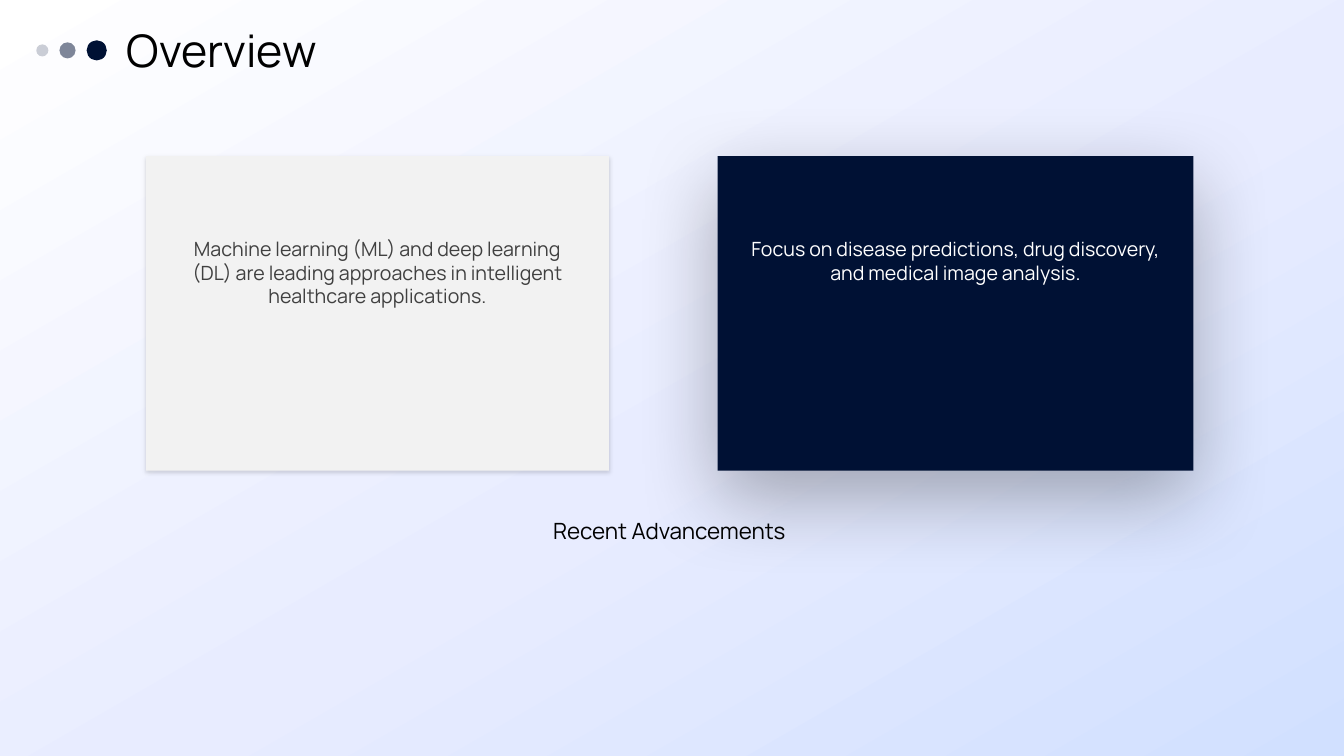
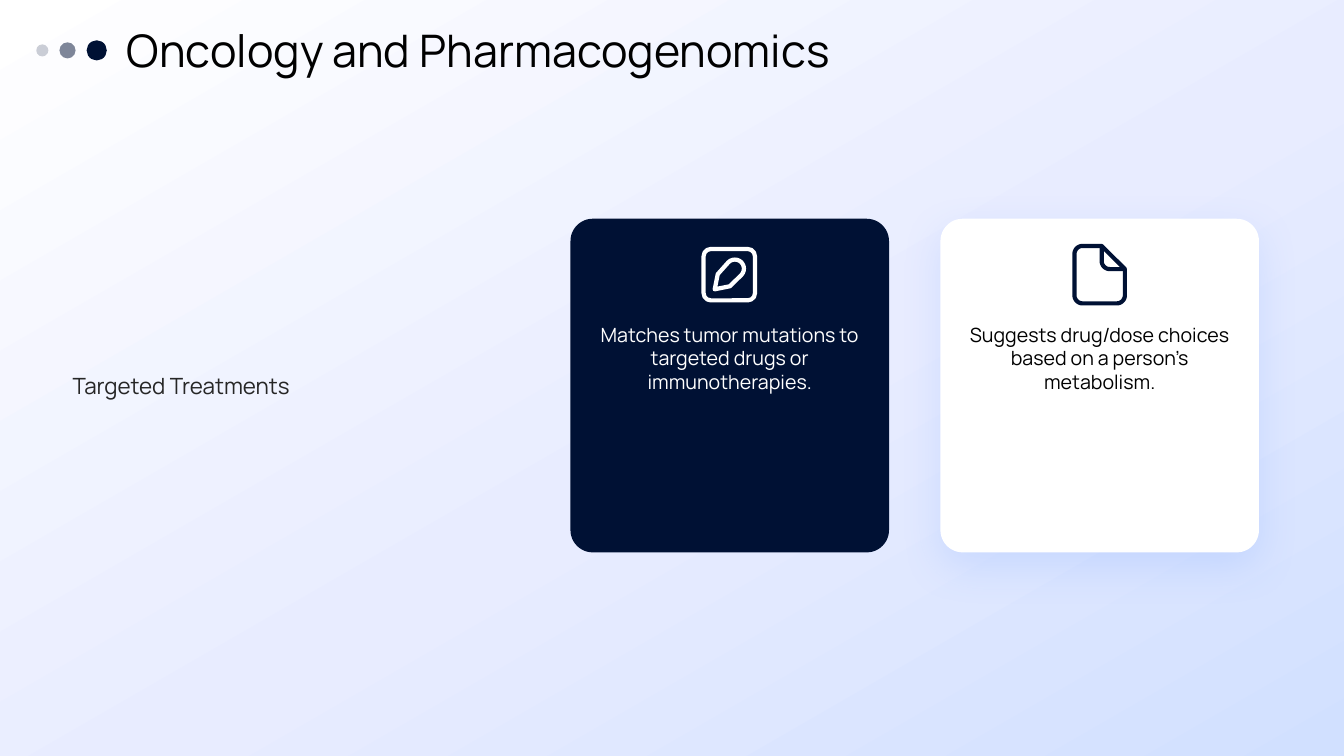
import copy
import math

import pptx
import pptx.dml.color
import pptx.enum.shapes
import pptx.enum.text
import pptx.oxml.ns
import pptx.util
from lxml import etree

RGB = pptx.dml.color.RGBColor
NAVY = RGB(0x00, 0x11, 0x34)
WHITE = RGB(0xFF, 0xFF, 0xFF)
BLACK = RGB(0x00, 0x00, 0x00)
LILAC = RGB(0xE8, 0xEC, 0xFF)
SKY = RGB(0xD1, 0xE0, 0xFF)
PALE = RGB(0xF2, 0xF2, 0xF2)
GREY = RGB(0x40, 0x40, 0x40)
INK = RGB(0x26, 0x26, 0x26)
GLOW = RGB(0x48, 0x84, 0xFF)

SHAPE = pptx.enum.shapes.MSO_SHAPE
ALIGN = pptx.enum.text.PP_ALIGN
ANCHOR = pptx.enum.text.MSO_ANCHOR
FONT = "Manrope"
COLUMNS, ROWS = 133.33, 75
STROKE = 3


def cells(count):
    """Turn a count of 0.1 inch grid cells into a length."""
    return pptx.util.Inches(count / 10)


def add_node(parent, tag, **values):
    """Append a drawing element with the given attributes."""
    node = etree.SubElement(parent, pptx.oxml.ns.qn(tag))
    for name, value in values.items():
        node.set(name, str(value))
    return node


def find_node(parent, tag):
    """Find the first drawing element of a kind below a parent."""
    return parent.find(".//" + pptx.oxml.ns.qn(tag))


def arc(x, y, radius, start, end, steps=12):
    """List points along an arc, with angles in degrees."""
    angles = [math.radians(start + (end - start) * i / steps) for i in range(steps + 1)]
    return [(x + radius * math.cos(a), y + radius * math.sin(a)) for a in angles]


class Slides:
    """Hold the shared style and the current slide."""

    def __init__(self):
        """Start the deck and paint its shared background."""
        self.deck = pptx.Presentation()
        self.deck.slide_width = cells(COLUMNS)
        self.deck.slide_height = cells(ROWS)
        master = self.deck.slide_master
        fill = master.background.fill
        fill.gradient()
        fill.gradient_angle = 300
        stops = find_node(master.element, "a:gsLst")
        stops.insert(1, copy.deepcopy(stops[0]))
        for stop, color, place in zip(fill.gradient_stops, (WHITE, LILAC, SKY), (0, 0.55, 1)):
            stop.color.rgb = color
            stop.position = place

    def start(self, title):
        """Add a slide with its title and the three dots."""
        self.page = self.deck.slides.add_slide(self.deck.slide_layouts[5])
        box = self.page.shapes.title
        box.left, box.top, box.width, box.height = map(cells, (12.6, 2.6, 118.9, 4.7))
        self.put_words(box, title, 32, BLACK, align=ALIGN.LEFT, anchor=ANCHOR.MIDDLE)
        for left, size, alpha in ((3.6, 1.2, 20), (5.9, 1.6, 50), (8.6, 2, 100)):
            dot = self.shape((left, 5 - size / 2, size, size), NAVY, SHAPE.OVAL)
            if alpha < 100:
                add_node(find_node(dot.element.spPr, "a:srgbClr"), "a:alpha", val=alpha * 1000)

    def put_words(self, box, words, size, color, align=ALIGN.CENTER, anchor=ANCHOR.TOP, insets=(0, 0, 0, 0)):
        """Fill a box with one formatted paragraph."""
        frame = box.text_frame
        left, top, right, bottom = map(cells, insets)
        layout = {
            "word_wrap": True,
            "auto_size": pptx.enum.text.MSO_AUTO_SIZE.NONE,
            "vertical_anchor": anchor,
            "margin_left": left,
            "margin_top": top,
            "margin_right": right,
            "margin_bottom": bottom,
        }
        for name, value in layout.items():
            setattr(frame, name, value)
        para = frame.paragraphs[0]
        para.alignment = align
        span = para.add_run()
        span.text = words
        for name, value in {"name": FONT, "size": pptx.util.Pt(size)}.items():
            setattr(span.font, name, value)
        span.font.color.rgb = color

    def text(self, area, words, size, color, **options):
        """Add a text box."""
        self.put_words(self.page.shapes.add_textbox(*map(cells, area)), words, size, color, **options)

    def shape(self, area, color, kind=SHAPE.RECTANGLE, corner=None, shadow=None):
        """Add a filled preset shape, with a shadow of colour, alpha, blur and distance."""
        shape = self.page.shapes.add_shape(kind, *map(cells, area))
        shape.shadow.inherit = False
        shape.fill.solid()
        shape.fill.fore_color.rgb = color
        shape.line.fill.background()
        if corner is not None:
            shape.adjustments[0] = corner
        if shadow:
            tint, alpha, blur, distance = shadow
            outer = add_node(
                find_node(shape.element.spPr, "a:effectLst"), "a:outerShdw",
                blurRad=pptx.util.Pt(blur), dist=pptx.util.Pt(distance),
                dir=90 * 60000, algn="t", rotWithShape=0,
            )
            add_node(add_node(outer, "a:srgbClr", val=tint), "a:alpha", val=alpha * 1000)
        return shape

    def outline(self, shape, color):
        """Leave a shape unfilled, with a rounded stroke."""
        shape.shadow.inherit = False
        shape.fill.background()
        shape.line.color.rgb = color
        shape.line.width = pptx.util.Pt(STROKE)
        add_node(find_node(shape.element.spPr, "a:ln"), "a:round")

    def stroke(self, left, top, points, color, close=True):
        """Draw a stroked path through points given from a corner."""
        spots = [(cells(left + x), cells(top + y)) for x, y in points]
        builder = self.page.shapes.build_freeform(*spots[0])
        builder.add_line_segments(spots[1:], close=close)
        self.outline(builder.convert_to_shape(), color)

    def pen_icon(self, left, top, color):
        """Draw a pen in a rounded frame."""
        frame = self.shape((left + 0.2, top + 0.2, 5.1, 5.1), color, SHAPE.ROUNDED_RECTANGLE, 0.14)
        self.outline(frame, color)
        pen = [(1.3, 4.2), (1.6, 2.7), *arc(3.3, 2.15, 0.9, -135, 45), (2.8, 3.9)]
        self.stroke(left, top, pen, color)

    def file_icon(self, left, top, color):
        """Draw a sheet with a folded corner."""
        sheet = [(2.9, 0.2), (5.2, 2.5)]
        for x, y, angle in ((4.4, 5.1, 0), (1, 5.1, 90), (1, 1, 180)):
            sheet += arc(x, y, 0.8, angle, angle + 90)
        self.stroke(left, top, sheet, color)
        fold = [(2.9, 0.2), *arc(3.7, 1.7, 0.8, 180, 90), (5.2, 2.5)]
        self.stroke(left, top, fold, color, close=False)


def overview(slides):
    """Build the overview slide."""
    slides.start("Overview")
    cards = (
        (14.5, 45.9, PALE, GREY, (BLACK, 15, 3, 1),
         "Machine learning (ML) and deep learning (DL) are leading approaches "
         "in intelligent healthcare applications."),
        (71.2, 47.2, NAVY, WHITE, (BLACK, 30, 60, 20),
         "Focus on disease predictions, drug discovery, and medical image analysis."),
    )
    for left, width, fill, color, shadow, words in cards:
        card = slides.shape((left, 15.5, width, 31.2), fill, shadow=shadow)
        slides.put_words(card, words, 14, color, insets=(3, 8, 3, 0.5))
    slides.text((14.4, 50.8, 104, 16.7), "Recent Advancements", 16, BLACK, insets=(1, 0.5, 1, 0.5))


def treatments(slides):
    """Build the oncology slide."""
    slides.start("Oncology and Pharmacogenomics")
    top, width, height, pad = 21.7, 31.6, 33.1, 1.7
    cards = (
        (NAVY, WHITE, None, "Matches tumor mutations to targeted drugs or immunotherapies."),
        (WHITE, BLACK, (GLOW, 15, 30, 10), "Suggests drug/dose choices based on a person’s metabolism."),
    )
    for index, (fill, color, shadow, words) in enumerate(cards):
        left = 56.6 + 36.7 * index
        slides.shape((left, top, width, height), fill, SHAPE.ROUNDED_RECTANGLE, 0.07, shadow)
        slides.text((left + pad, 32, width - 2 * pad, 19.5), words, 14, color)
    slides.pen_icon(69.6, 24.5, WHITE)
    slides.file_icon(106.4, 24.2, NAVY)
    slides.text((7.2, top, 43.8, height), "Targeted Treatments", 16, INK,
                align=ALIGN.LEFT, anchor=ANCHOR.MIDDLE)


def main():
    """Build and save the deck."""
    slides = Slides()
    overview(slides)
    treatments(slides)
    slides.deck.save("out.pptx")


if __name__ == "__main__":
    main()
